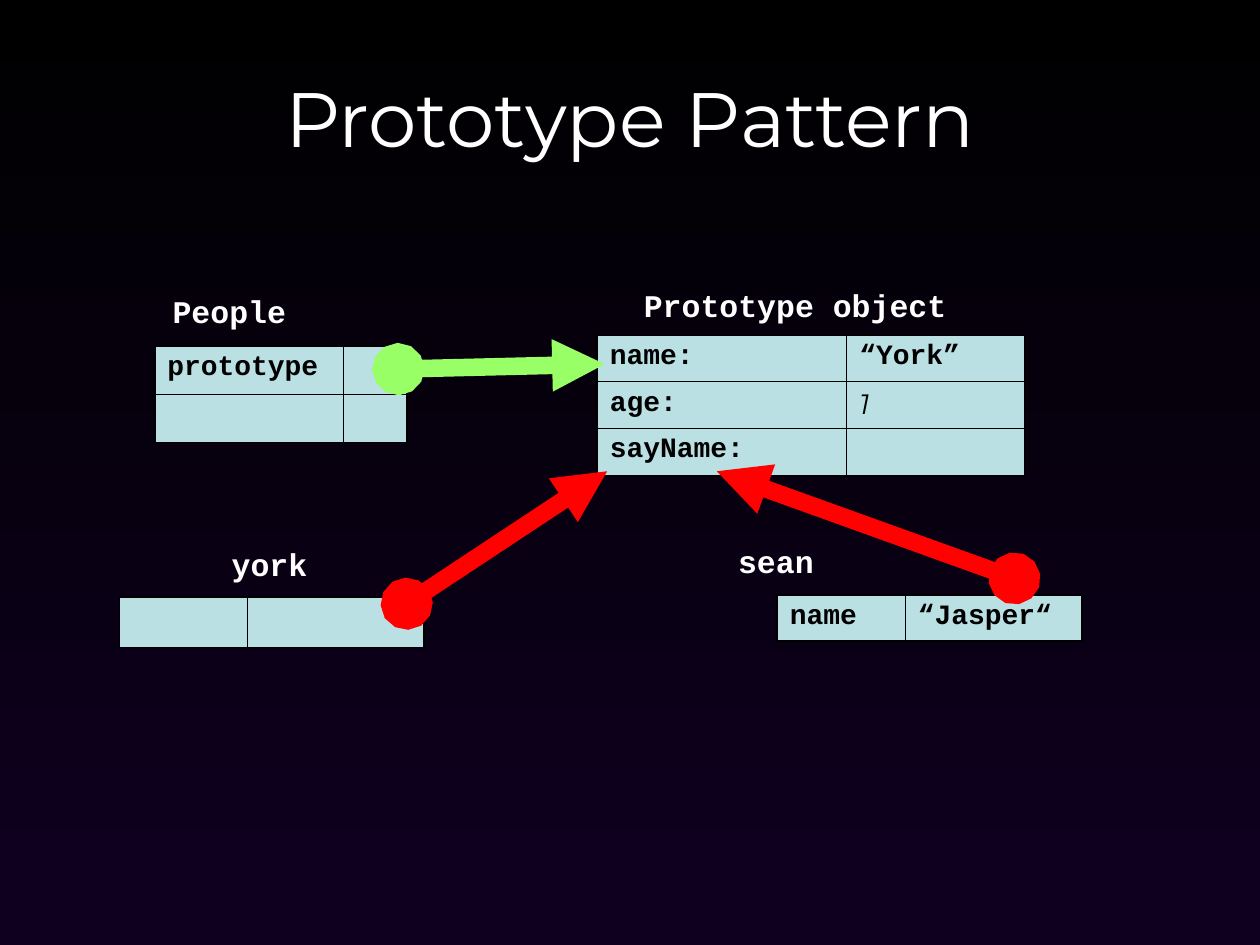
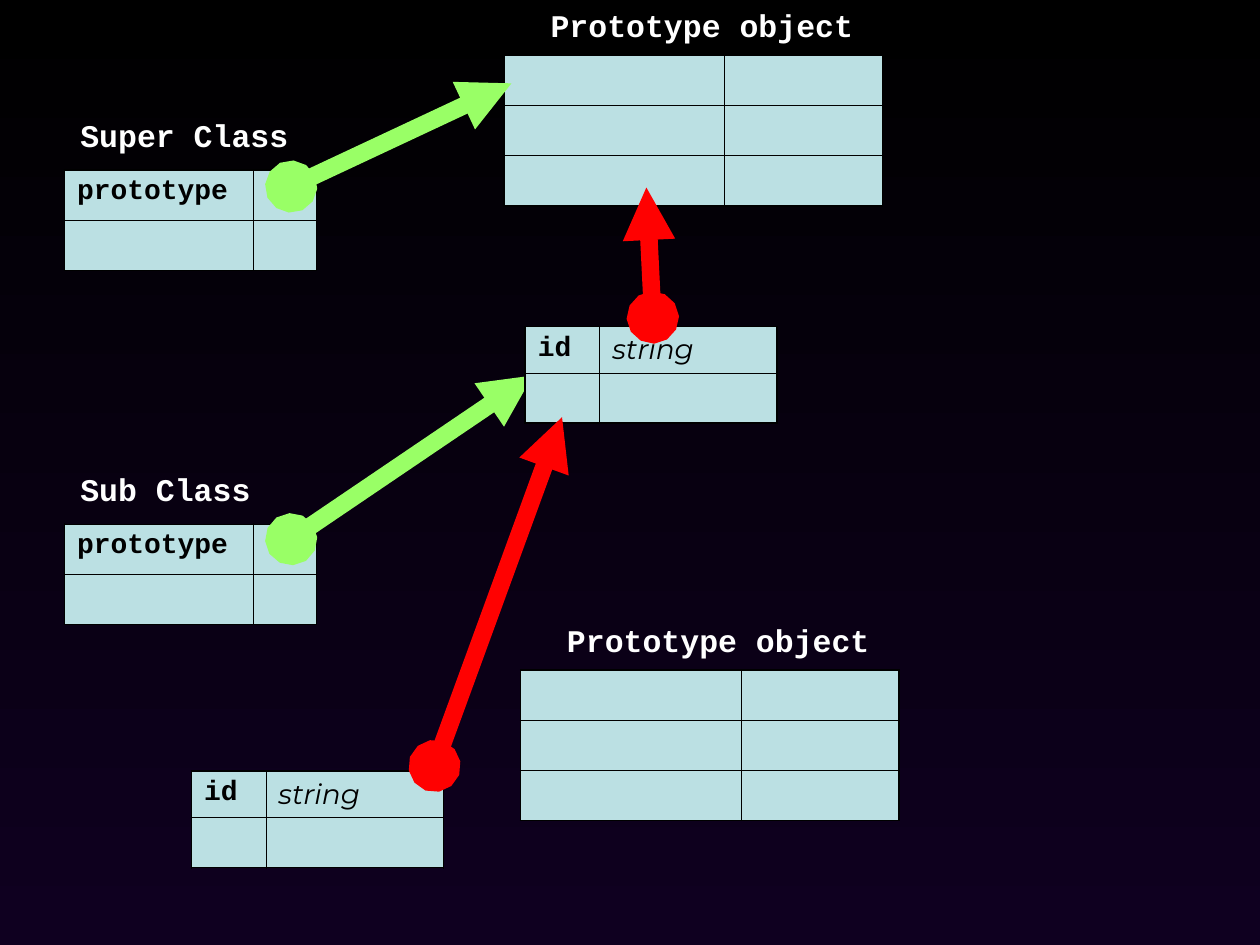
"""Build two diagrams of prototype objects and the links between them."""
from lxml.etree import SubElement
from pptx import Presentation
from pptx.dml.color import RGBColor
from pptx.enum.shapes import MSO_CONNECTOR
from pptx.enum.text import MSO_ANCHOR, PP_ALIGN
from pptx.oxml.ns import qn
from pptx.util import Cm, Pt

BLACK = RGBColor(0x00, 0x00, 0x00)
NIGHT = RGBColor(0x0F, 0x00, 0x20)
WHITE = RGBColor(0xFF, 0xFF, 0xFF)
PALE = RGBColor(0xBB, 0xE0, 0xE3)
GREEN = RGBColor(0x99, 0xFF, 0x66)
RED = RGBColor(0xFF, 0x01, 0x01)
CODE = "Courier New"
SANS = "Montserrat"
VALUES = ("1", "string")
LOW, HIGH = 0.93, 1.01


def grid(slide, left, top, cols, rows, high=HIGH):
    tall = [LOW if all(row) else high for row in rows]
    frame = slide.shapes.add_table(len(rows), len(cols), Cm(left), Cm(top),
                                   Cm(sum(cols)), Cm(sum(tall)))
    table = frame.table
    table.first_row = table.horz_banding = False
    for col, wide in zip(table.columns, cols):
        col.width = Cm(wide)
    for r, row in enumerate(rows):
        table.rows[r].height = Cm(tall[r])
        for c, text in enumerate(row):
            cell = table.cell(r, c)
            props = cell._tc.get_or_add_tcPr()
            edges = {"L": c == 0, "R": c == len(cols) - 1,
                     "T": r == 0, "B": r == len(rows) - 1}
            for side, outer in edges.items():
                line = SubElement(props, qn(f"a:ln{side}"), w=str(Pt(1.08 if outer else 0.45)))
                fill = SubElement(line, qn("a:solidFill"))
                SubElement(fill, qn("a:srgbClr"), val=str(BLACK))
            cell.fill.solid()
            cell.fill.fore_color.rgb = PALE
            para = cell.text_frame.paragraphs[0]
            if not text:
                SubElement(para._p, qn("a:endParaRPr"), sz="1200")
                continue
            run = para.add_run()
            run.text = text
            run.font.size = Pt(16)
            run.font.color.rgb = BLACK
            run.font.name = SANS if text in VALUES else CODE
            run.font.bold = text not in VALUES
            run.font.italic = text in VALUES


def arrow(slide, color, *ends):
    link = slide.shapes.add_connector(MSO_CONNECTOR.STRAIGHT, *map(Cm, ends))
    link.line.color.rgb = color
    link.line.width = Pt(10)
    line = link.line._get_or_add_ln()
    SubElement(line, qn("a:headEnd"), type="oval")
    SubElement(line, qn("a:tailEnd"), type="triangle")
    SubElement(link._element.spPr, qn("a:effectLst"))


deck = Presentation()
deck.slide_width, deck.slide_height = Cm(25.4), Cm(19.05)
back = deck.slide_master.background.fill
back.gradient()
back.gradient_angle = 270
for stop, color in zip(back.gradient_stops, (BLACK, NIGHT)):
    stop.color.rgb = color

objects = deck.slides.add_slide(deck.slide_layouts[5])
title = objects.shapes.title
title.left, title.top, title.width, title.height = Cm(1.27), Cm(0.76), Cm(22.86), Cm(3.18)
title.text_frame.vertical_anchor = MSO_ANCHOR.MIDDLE
para = title.text_frame.paragraphs[0]
para.alignment = PP_ALIGN.CENTER
run = para.add_run()
run.text = "Prototype Pattern"
run.font.name = SANS
run.font.size = Pt(44)
run.font.color.rgb = WHITE

CLASS = [("prototype", ""), ("", "")]
BLANK = [("", "")] * 3
CHILD = [("id", "string"), ("", "")]
wide, pair, half, small = (5.03, 3.58), (3.81, 1.27), (2.58, 3.56), (1.5, 3.58)
plain = (4.45, 3.18)

grid(objects, 12.04, 6.76, wide, [("name:", "“York”"), ("age:", "1"), ("sayName:", "")], 0.97)
grid(objects, 3.12, 6.98, pair, CLASS, 0.97)
arrow(objects, GREEN, 8.03, 7.44, 12.19, 7.34)
grid(objects, 2.41, 12.04, half, [("", "")])
arrow(objects, RED, 8.2, 12.17, 12.24, 9.5)
grid(objects, 15.67, 11.99, half, [("name", "“Jasper“")])
arrow(objects, RED, 20.45, 11.66, 14.45, 9.5)

chain = deck.slides.add_slide(deck.slide_layouts[6])
grid(chain, 10.49, 13.51, plain, BLANK)
grid(chain, 1.3, 10.57, pair, CLASS)
arrow(chain, GREEN, 5.87, 10.87, 10.74, 7.57)
grid(chain, 10.16, 1.12, plain, BLANK)
grid(chain, 1.3, 3.43, pair, CLASS)
arrow(chain, GREEN, 5.87, 3.76, 10.31, 1.68)
grid(chain, 10.59, 6.58, small, CHILD)
arrow(chain, RED, 13.16, 6.4, 13.03, 3.78)
grid(chain, 3.86, 15.54, small, CHILD)
arrow(chain, RED, 8.76, 15.44, 11.33, 8.41)

for slide, text, left, top, width in (
    (objects, "york", 4.42, 10.87, 2.79),
    (objects, "People", 3.23, 5.77, 4.98),
    (objects, "Prototype object", 12.73, 5.64, 6.99),
    (objects, "sean", 14.63, 10.8, 2.79),
    (chain, "Sub Class", 1.37, 9.35, 5),
    (chain, "Prototype object", 11.18, 12.4, 6.99),
    (chain, "Super Class", 1.37, 2.21, 5),
    (chain, "Prototype object", 10.85, 0, 6.99),
):
    label = slide.shapes.add_textbox(Cm(left), Cm(top), Cm(width), Cm(1.02))
    label.text_frame.word_wrap = True
    run = label.text_frame.paragraphs[0].add_run()
    run.text = text
    run.font.name = CODE
    run.font.size = Pt(18)
    run.font.bold = True
    run.font.color.rgb = WHITE

deck.save("out.pptx")
